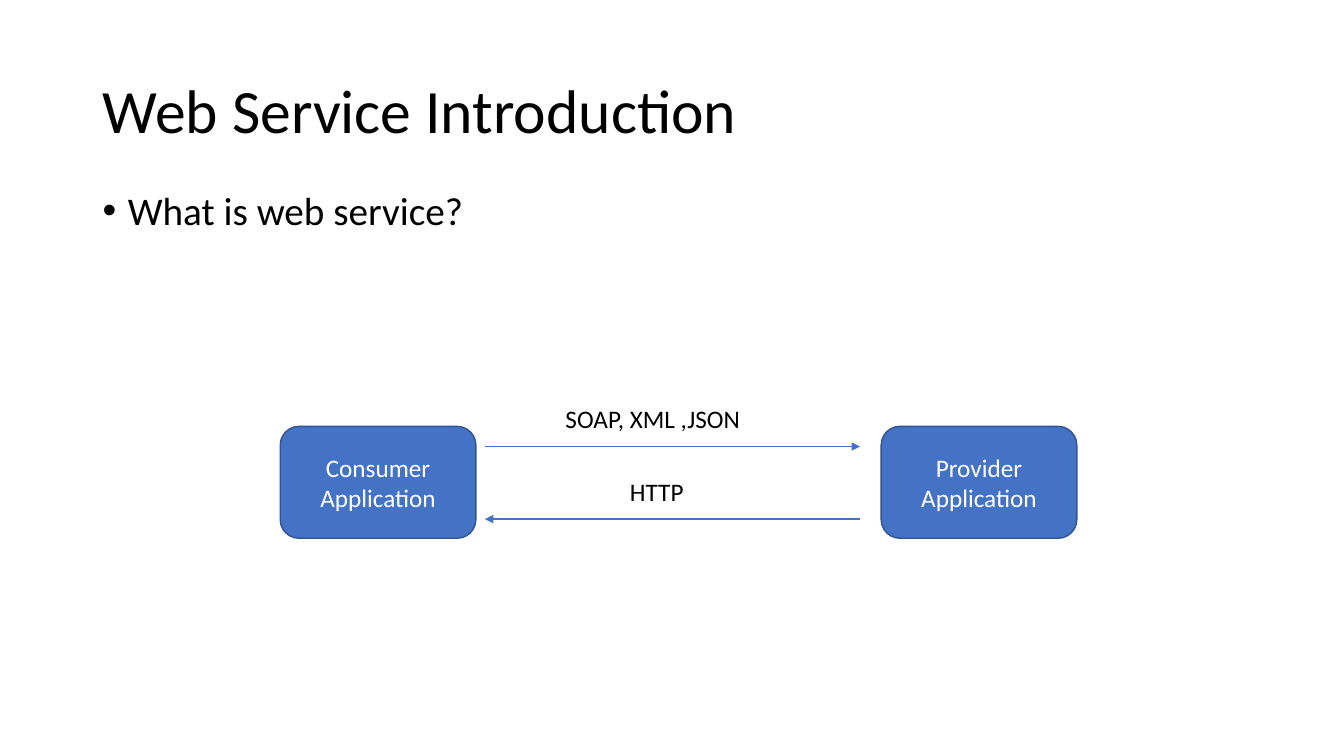
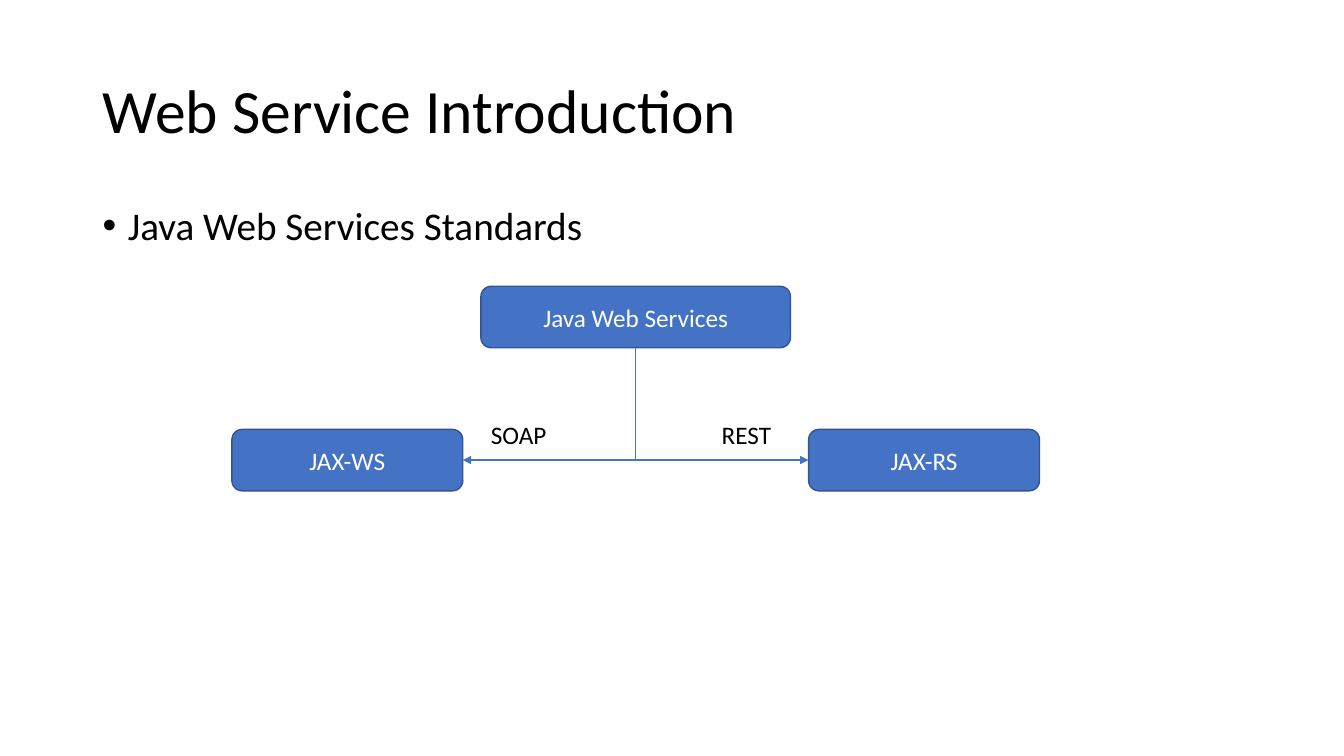
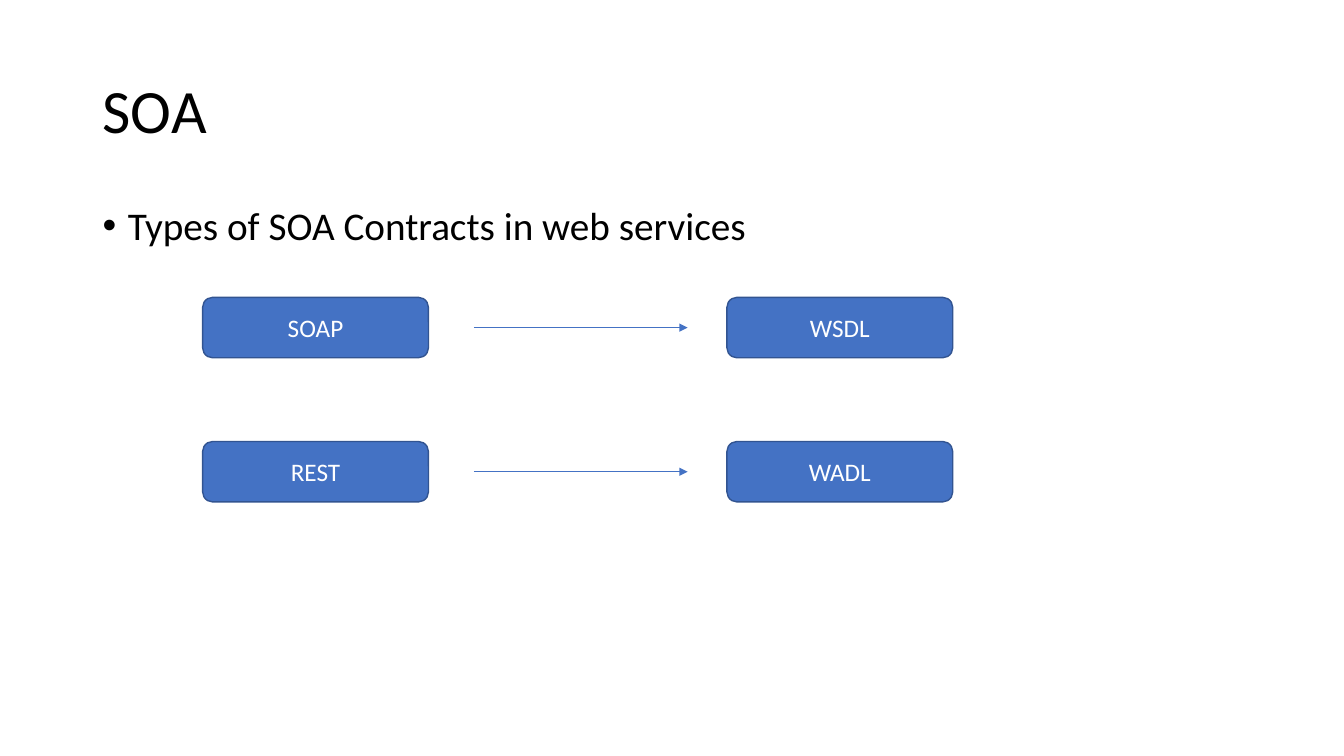
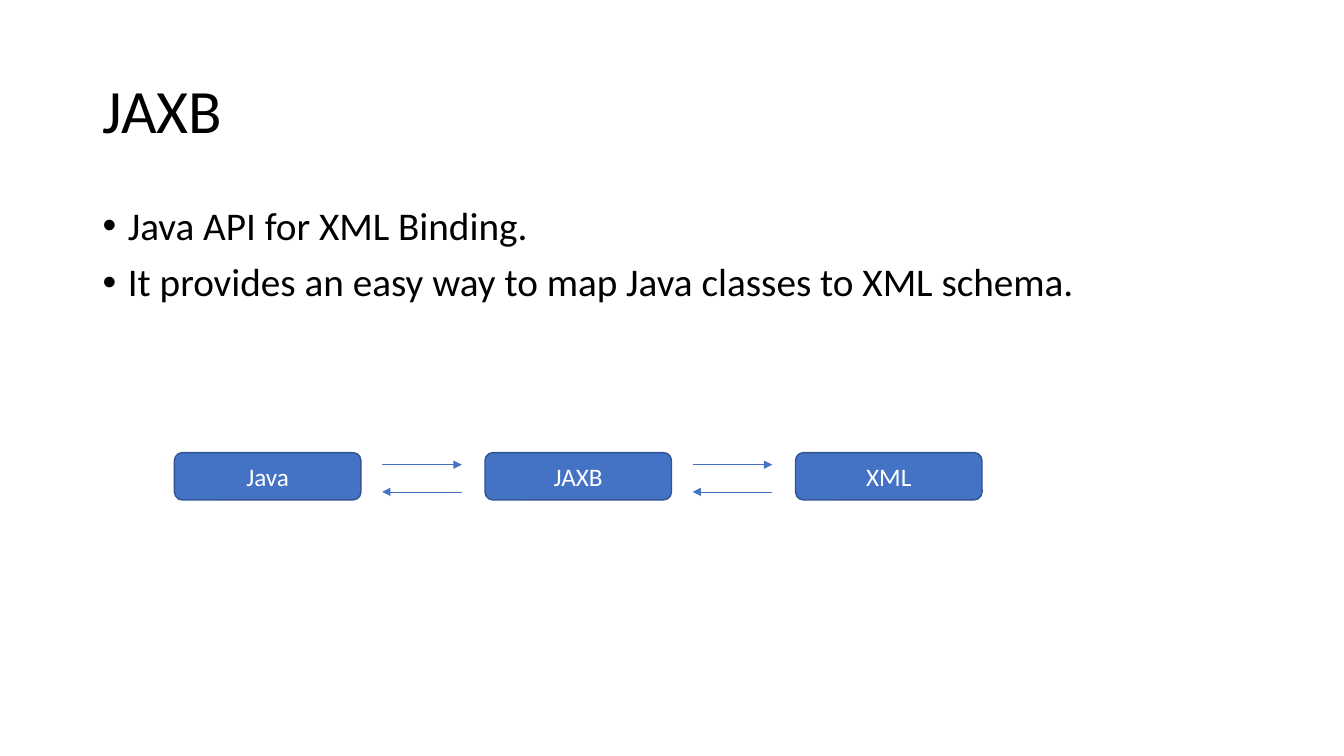
"""Build four slides that introduce web services, SOA contracts and JAXB."""
from dataclasses import dataclass

from pptx import Presentation
from pptx.dml.color import RGBColor
from pptx.enum.shapes import MSO_CONNECTOR, MSO_SHAPE
from pptx.enum.text import MSO_ANCHOR, PP_ALIGN
from pptx.oxml.ns import qn
from pptx.shapes.autoshape import Shape
from pptx.shapes.connector import Connector
from pptx.slide import Slide
from pptx.text.text import TextFrame
from pptx.util import Inches, Pt

ROUND_RECT = MSO_SHAPE.ROUNDED_RECTANGLE
STRAIGHT, ELBOW = MSO_CONNECTOR.STRAIGHT, MSO_CONNECTOR.ELBOW
MIDDLE, CENTER = MSO_ANCHOR.MIDDLE, PP_ALIGN.CENTER
SITE_LEFT, SITE_BOTTOM, SITE_RIGHT = 1, 2, 3

FONT = "Calibri"
COLORS = {"text": "000000", "box": "4472C4", "edge": "325491", "box_text": "FFFFFF"}
MARGIN, CONTENT_W = 0.92, 11.5


@dataclass(frozen=True)
class Box:
    """A rounded box, in inches."""
    text: str
    x: float
    y: float
    w: float
    h: float


@dataclass(frozen=True)
class Label:
    """A caption that does not wrap, in inches."""
    text: str
    x: float
    y: float
    w: float


@dataclass(frozen=True)
class Arrow:
    """A level arrow from x1 to x2, in inches."""
    x1: float
    x2: float
    y: float
    weight: float = 1


def color(name: str) -> RGBColor:
    """Return a palette colour."""
    return RGBColor.from_string(COLORS[name])


def write(tf: TextFrame, text: str, size: int, name: str = "text") -> None:
    """Fill a text frame and format its runs."""
    tf.text = text
    for p in tf.paragraphs:
        for r in p.runs:
            r.font.name, r.font.size = FONT, Pt(size)
            r.font.color.rgb = color(name)


def add_text(s: Slide, text: str, x: float, y: float, w: float, h: float,
             size: int, wrap: bool = True) -> TextFrame:
    """Add a text box and return its frame."""
    tf = s.shapes.add_textbox(Inches(x), Inches(y), Inches(w), Inches(h)).text_frame
    tf.word_wrap = wrap
    write(tf, text, size)
    return tf


def add_slide(prs: Presentation, title: str, body: str, body_y: float = 2) -> Slide:
    """Add a slide with a title and bulleted body text."""
    s = prs.slides.add_slide(prs.slide_layouts[6])
    tf = add_text(s, title, MARGIN, 0.4, CONTENT_W, 1.45, 44)
    tf.vertical_anchor = MIDDLE
    tf.paragraphs[0].line_spacing = 0.9
    tf = add_text(s, body, MARGIN, body_y, CONTENT_W, 4.76, 28)
    for p in tf.paragraphs:
        p.line_spacing, p.space_before = 0.9, Pt(10)
        pPr = p._p.get_or_add_pPr()
        pPr.set("marL", str(Inches(0.25)))
        pPr.set("indent", str(Inches(-0.25)))
        font = pPr.makeelement(qn("a:buFont"), {"typeface": "Arial"})
        bullet = pPr.makeelement(qn("a:buChar"), {"char": "•"})
        pPr.extend([font, bullet])
    return s


def add_box(s: Slide, box: Box) -> Shape:
    """Draw a rounded box with centred text."""
    sp = s.shapes.add_shape(ROUND_RECT, Inches(box.x), Inches(box.y),
                            Inches(box.w), Inches(box.h))
    sp.shadow.inherit = False
    sp.fill.solid()
    sp.fill.fore_color.rgb = color("box")
    sp.line.color.rgb, sp.line.width = color("edge"), Pt(1)
    tf = sp.text_frame
    tf.word_wrap, tf.vertical_anchor = True, MIDDLE
    write(tf, box.text, 18, "box_text")
    for p in tf.paragraphs:
        p.alignment = CENTER
    return sp


def add_label(s: Slide, label: Label) -> None:
    """Draw a caption."""
    add_text(s, label.text, label.x, label.y, label.w, 0.4, 18, wrap=False)


def style_connector(c: Connector, weight: float, end: str) -> None:
    """Colour a connector, drop its shadow and put a triangle on one end."""
    c.line.color.rgb, c.line.width = color("box"), Pt(weight)
    ln = c.line._get_or_add_ln()
    ln.append(ln.makeelement(qn(end), {"type": "triangle"}))
    spPr = c._element.spPr
    spPr.append(spPr.makeelement(qn("a:effectLst"), {}))


def add_arrow(s: Slide, arrow: Arrow) -> None:
    """Draw a level arrow."""
    c = s.shapes.add_connector(STRAIGHT, Inches(arrow.x1), Inches(arrow.y),
                               Inches(arrow.x2), Inches(arrow.y))
    style_connector(c, arrow.weight, "a:tailEnd")


def add_branch(s: Slide, child: Shape, site: int, parent: Shape) -> None:
    """Join a child's side to its parent's bottom with one bend."""
    c = s.shapes.add_connector(ELBOW, 0, 0, 0, 0)
    c.begin_connect(child, site)
    c.end_connect(parent, SITE_BOTTOM)
    c._element.spPr.find(qn("a:prstGeom")).set("prst", "bentConnector2")
    style_connector(c, 1, "a:headEnd")


def build_exchange(prs: Presentation) -> None:
    """Build the consumer and provider slide."""
    s = add_slide(prs, "Web Service Introduction", "What is web service?", 1.85)
    add_box(s, Box("Consumer\nApplication", 2.78, 4.23, 1.94, 1.11))
    add_box(s, Box("Provider Application", 8.74, 4.23, 1.94, 1.11))
    add_arrow(s, Arrow(4.81, 8.53, 4.43))
    add_arrow(s, Arrow(8.53, 4.81, 5.15))
    add_label(s, Label("SOAP, XML ,JSON", 5.51, 3.95, 2.01))
    add_label(s, Label("HTTP", 6.15, 4.68, 0.74))


def build_standards(prs: Presentation) -> None:
    """Build the tree of Java standards."""
    s = add_slide(prs, "Web Service Introduction", "Java Web Services Standards")
    root = add_box(s, Box("Java Web Services", 4.77, 2.84, 3.07, 0.61))
    for text, x, site in (("JAX-WS", 2.3, SITE_RIGHT), ("JAX-RS", 8.02, SITE_LEFT)):
        child = add_box(s, Box(text, x, 4.26, 2.29, 0.61))
        add_branch(s, child, site, root)
    add_label(s, Label("SOAP", 4.77, 4.11, 0.76))
    add_label(s, Label("REST", 7.06, 4.11, 0.7))


def build_contracts(prs: Presentation) -> None:
    """Build the contract pairs."""
    s = add_slide(prs, "SOA", "Types of SOA Contracts in web services")
    for i, (style, contract) in enumerate((("SOAP", "WSDL"), ("REST", "WADL"))):
        y = 2.95 + 1.43 * i
        add_box(s, Box(style, 2.01, y, 2.24, 0.6))
        add_box(s, Box(contract, 7.21, y, 2.24, 0.6))
        add_arrow(s, Arrow(4.7, 6.82, y + 0.3))


def build_binding(prs: Presentation) -> None:
    """Build the chain from Java to XML."""
    s = add_slide(prs, "JAXB", "Java API for XML Binding.\n"
                  "It provides an easy way to map Java classes to XML schema.")
    left, step, width = 1.73, 3.08, 1.85
    names = ("Java", "JAXB", "XML")
    for i, name in enumerate(names):
        x = left + step * i
        add_box(s, Box(name, x, 4.49, width, 0.47))
        if i < len(names) - 1:
            x1 = x + width + 0.21
            x2 = x1 + 0.79
            add_arrow(s, Arrow(x1, x2, 4.61, 0.5))
            add_arrow(s, Arrow(x2, x1, 4.88, 0.5))


def main() -> None:
    """Build and save the presentation."""
    prs = Presentation()
    prs.slide_width, prs.slide_height = Inches(13.33), Inches(7.5)
    for build in (build_exchange, build_standards, build_contracts, build_binding):
        build(prs)
    prs.save("out.pptx")


if __name__ == "__main__":
    main()
